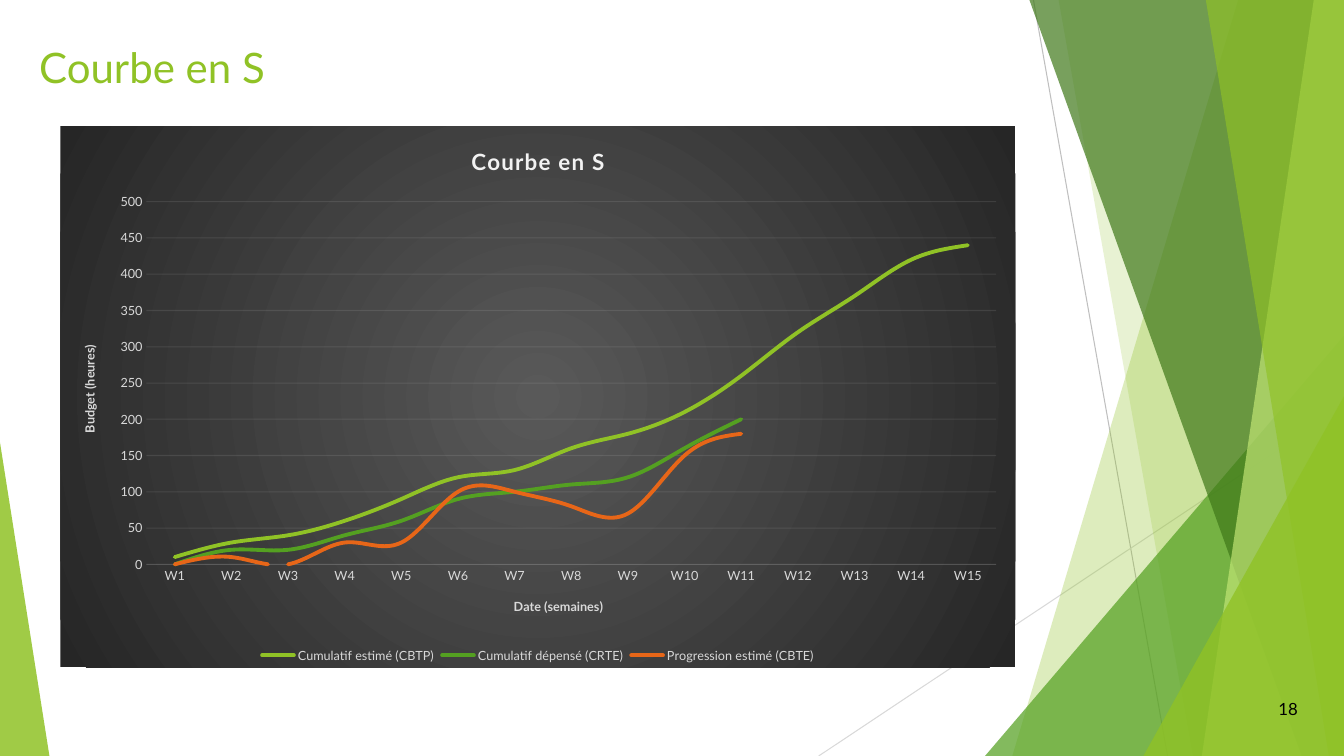
from lxml import etree
from pptx import Presentation
from pptx.chart.data import CategoryChartData
from pptx.dml.color import RGBColor
from pptx.enum.chart import XL_CHART_TYPE, XL_LEGEND_POSITION, XL_TICK_MARK
from pptx.enum.shapes import MSO_CONNECTOR, MSO_SHAPE
from pptx.enum.text import MSO_ANCHOR, PP_ALIGN
from pptx.oxml import parse_xml
from pptx.oxml.ns import nsdecls, qn
from pptx.util import Inches, Pt

WIDE, HIGH = 13.33, 7.5
FONT = "Lato"
HUES = {
    "lime": "90C226", "green": "54A021", "forest": "3F7819", "pale": "C0E474",
    "orange": "E76618", "black": "000000", "white": "F2F2F2", "label": "D9D9D9",
    "grey": "BFBFBF", "centre": "595959", "edge": "262626",
}
WEEKS = [f"W{n}" for n in range(1, 16)]
CURVES = [
    ("Cumulatif estimé (CBTP)", "lime",
     [10, 30, 40, 60, 90, 120, 130, 160, 180, 210, 260, 320, 370, 420, 440]),
    ("Cumulatif dépensé (CRTE)", "green",
     [0, 20, 20, 40, 60, 90, 100, 110, 120, 160, 200]),
    ("Progression estimé (CBTE)", "orange",
     [0, 10, 0, 30, 30, 100, 100, 80, 70, 150, 180]),
]
# Plot area as shares of the chart
PLOT = {"x": 0.09, "y": 0.14, "w": 0.89, "h": 0.67}
# Left edge at the top and at the bottom, colour, opacity
BANDS = [
    (12.28, 10.04, "lime", 30), (10.5, 11.83, "lime", 20),
    (10.21, 12.91, "forest", 70), (13.03, 11.92, "pale", 70),
    (11.96, 13.18, "lime", 65),
]


def style(item, **values):
    for name, value in values.items():
        setattr(item, name, value)


def hue(name):
    return RGBColor.from_string(HUES[name])


def fade(holder, percent):
    """Make the solid colour inside an XML element partly transparent."""
    shade = next(holder.iter(qn("a:srgbClr")))
    etree.SubElement(shade, qn("a:alpha"), val=str(percent * 1000))


def ink(font, size, color, bold=False):
    style(font, name=FONT, size=Pt(size), bold=bold)
    font.color.rgb = hue(color)


def paint(shape, color, percent):
    shape.shadow.inherit = False
    shape.fill.solid()
    shape.fill.fore_color.rgb = hue(color)
    fade(shape._element.spPr, percent)
    shape.line.fill.background()


def rule(slide, start, end, color):
    line = slide.shapes.add_connector(
        MSO_CONNECTOR.STRAIGHT, *map(Inches, start + end))
    line.line.color.rgb = hue(color)
    line.line.width = Pt(0.75)
    etree.SubElement(line._element.spPr, qn("a:effectLst"))


def band(slide, top, foot, color, percent):
    """Fill from a slanted left edge to the right side of the slide."""
    pen = slide.shapes.build_freeform(Inches(top), 0)
    corners = [(WIDE, 0), (WIDE, HIGH), (foot, HIGH)]
    pen.add_line_segments([(Inches(x), Inches(y)) for x, y in corners])
    paint(pen.convert_to_shape(), color, percent)


def wedge(slide, left, top, width, tip, color, percent):
    """Stand a triangle on the foot of the slide, its tip at 0 or 1."""
    shape = slide.shapes.add_shape(
        MSO_SHAPE.ISOSCELES_TRIANGLE,
        *map(Inches, (left, top, width, HIGH - top)))
    shape.adjustments[0] = tip
    paint(shape, color, percent)


def decor(slide):
    rule(slide, (10.25, 0), (11.58, HIGH), "grey")
    rule(slide, (WIDE, 4.03), (8.12, HIGH), "label")
    for args in BANDS[:2]:
        band(slide, *args)
    wedge(slide, 9.77, 3.33, 3.56, 1, "green", 72)
    for args in BANDS[2:]:
        band(slide, *args)
    wedge(slide, 11.34, 3.93, 1.99, 1, "lime", 80)
    wedge(slide, 0, 4.39, 0.49, 0, "lime", 85)


def label(slide, box, text, size, color, anchor, align):
    frame = slide.shapes.add_textbox(*map(Inches, box)).text_frame
    style(frame, word_wrap=True, vertical_anchor=anchor)
    para = frame.paragraphs[0]
    para.alignment = align
    run = para.add_run()
    run.text = text
    ink(run.font, size, color)


def head(owner, text, size, color):
    """Title a chart or an axis and return the run."""
    run = owner.text_frame.paragraphs[0].add_run()
    run.text = text
    ink(run.font, size, color, True)
    return run


def thin(line):
    line.color.rgb = hue("white")
    line.width = Pt(0.75)
    fade(line._ln, 10)


def glow(chart):
    """Give the chart a round gradient, light in the middle."""
    chart._chartSpace.find(qn("c:chart")).addnext(parse_xml(
        f'<c:spPr {nsdecls("c", "a")}><a:gradFill><a:gsLst>'
        f'<a:gs pos="0"><a:srgbClr val="{HUES["centre"]}"/></a:gs>'
        f'<a:gs pos="100000"><a:srgbClr val="{HUES["edge"]}"/></a:gs>'
        '</a:gsLst><a:path path="circle"><a:fillToRect l="50000" t="50000" '
        'r="50000" b="50000"/></a:path></a:gradFill>'
        '<a:ln><a:noFill/></a:ln></c:spPr>'))


def place(chart):
    """Fix the inner plot area within the chart."""
    area = next(chart._chartSpace.iter(qn("c:plotArea")))
    for old in area.findall(qn("c:layout")):
        area.remove(old)
    layout = etree.Element(qn("c:layout"))
    manual = etree.SubElement(layout, qn("c:manualLayout"))
    rules = {"layoutTarget": "inner", "xMode": "edge", "yMode": "edge", **PLOT}
    for name, value in rules.items():
        etree.SubElement(manual, qn(f"c:{name}"), val=str(value))
    area.insert(0, layout)


def graph(slide, box):
    data = CategoryChartData()
    data.categories = WEEKS
    for name, _, values in CURVES:
        data.add_series(name, values + [None] * (len(WEEKS) - len(values)))
    chart = slide.shapes.add_chart(
        XL_CHART_TYPE.LINE, *map(Inches, box), data).chart
    ink(chart.font, 10, "label")
    glow(chart)
    place(chart)
    title = head(chart.chart_title, "Courbe en S", 16, "white")
    title.font._element.set("spc", "100")
    chart.chart_title.include_in_layout = False

    chart.has_legend = True
    style(chart.legend, position=XL_LEGEND_POSITION.BOTTOM,
          include_in_layout=False)
    ink(chart.legend.font, 9, "label")

    dates, hours = chart.category_axis, chart.value_axis
    for axis, text in ((dates, "Date (semaines)"), (hours, "Budget (heures)")):
        style(axis, major_tick_mark=XL_TICK_MARK.NONE,
              minor_tick_mark=XL_TICK_MARK.NONE)
        ink(axis.tick_labels.font, 9, "label")
        head(axis.axis_title, text, 9, "label")
    style(hours, minimum_scale=0, maximum_scale=500, major_unit=50)
    thin(dates.format.line)
    thin(hours.major_gridlines.format.line)
    hours.format.line.fill.background()

    plot = chart.plots[0]
    plot.vary_by_categories = False
    for curve, (_, color, _) in zip(plot.series, CURVES):
        curve.smooth = True
        line = curve.format.line
        line.color.rgb = hue(color)
        line.width = Pt(2.75)
        line._ln.set("cap", "rnd")


def main():
    deck = Presentation()
    style(deck, slide_width=Inches(WIDE), slide_height=Inches(HIGH))
    slide = deck.slides.add_slide(deck.slide_layouts[6])
    decor(slide)
    label(slide, (0.29, 0.36, 12.67, 0.79), "Courbe en S", 30, "lime",
          MSO_ANCHOR.TOP, PP_ALIGN.LEFT)
    label(slide, (12.22, 6.83, 0.75, 0.4), "18", 12, "black",
          MSO_ANCHOR.MIDDLE, PP_ALIGN.RIGHT)
    graph(slide, (0.6, 1.25, 9.47, 5.37))
    deck.save("out.pptx")


if __name__ == "__main__":
    main()
